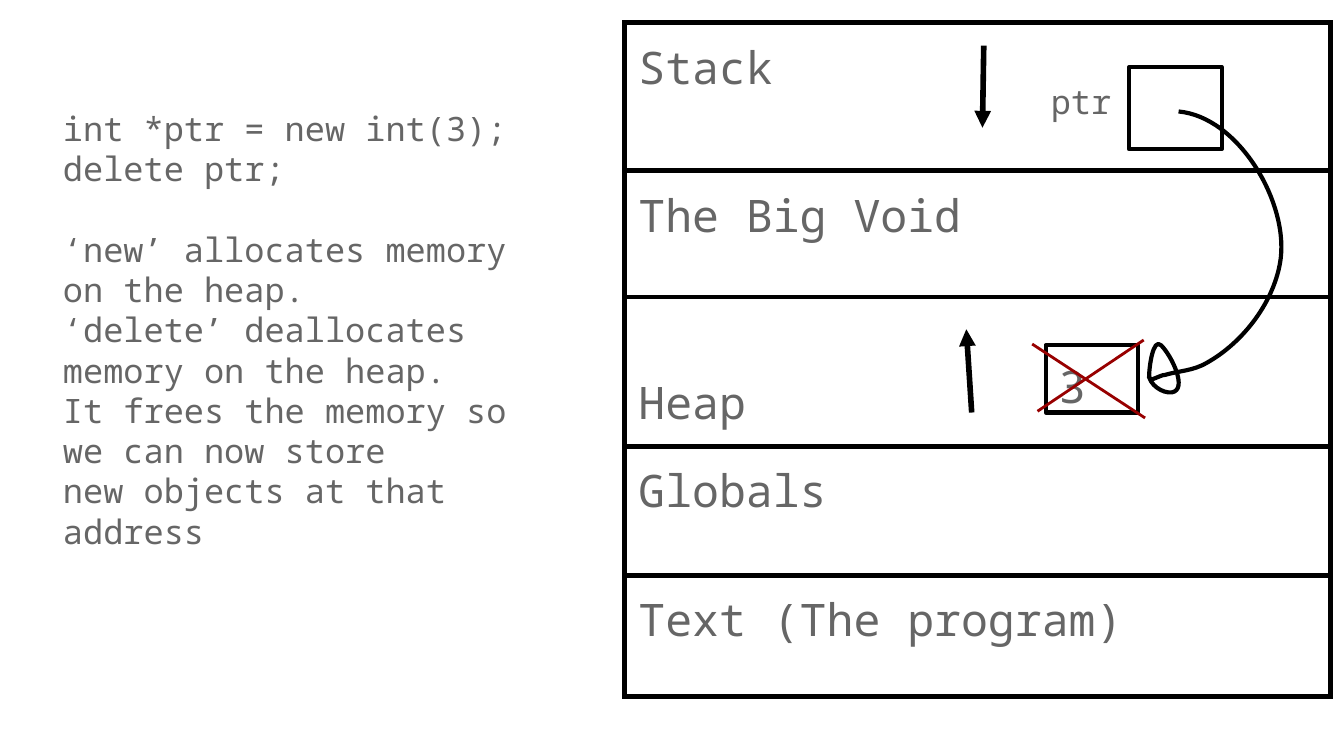
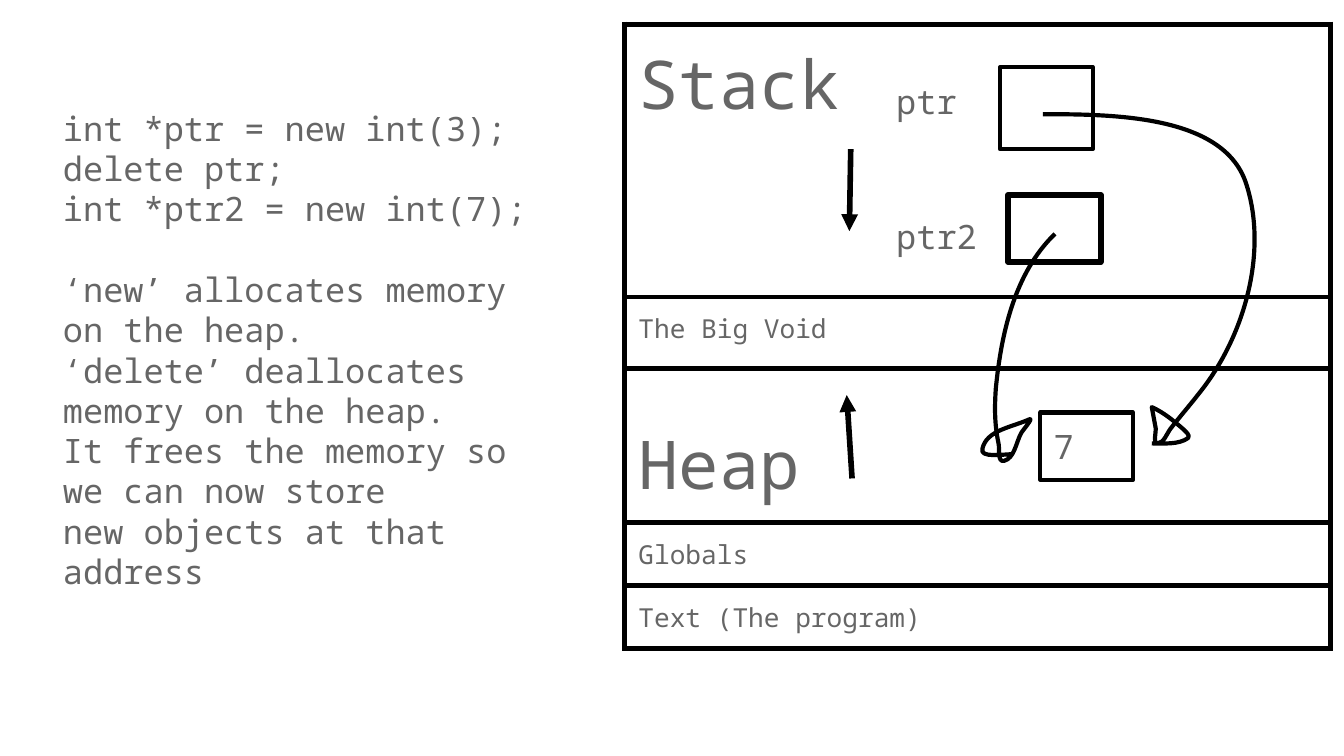
from dataclasses import dataclass

from lxml import etree
from pptx import Presentation
from pptx import util as u
from pptx.dml.color import RGBColor
from pptx.enum import shapes, text
from pptx.oxml import ns


@dataclass(frozen=True)
class Theme:
    font: str = "Noto Sans Mono"
    ink: str = "000000"
    grey: str = "666666"
    red: str = "980000"
    small: int = 14
    body: int = 18
    label: int = 24
    large: int = 36
    code_gap: float = 21.6
    thin: float = 1.5
    medium: float = 2.25
    thick: float = 3


def inches(*lengths):
    return [u.Inches(length) for length in lengths]


def add_xml(parent, tag, **attributes):
    return etree.SubElement(parent, ns.qn(tag), attributes)


class MemorySlides:
    """Holds the style and the current slide."""

    def __init__(self, theme):
        self.theme = theme
        self.presentation = Presentation()
        self.presentation.slide_width, self.presentation.slide_height = inches(10, 5.625)
        self.slide = None

    def new_slide(self):
        self.slide = self.presentation.slides.add_slide(self.presentation.slide_layouts[6])

    def style_paragraph(self, paragraph, size):
        paragraph.alignment = text.PP_ALIGN.LEFT
        paragraph.font.name = self.theme.font
        paragraph.font.size = u.Pt(size)
        paragraph.font.color.rgb = RGBColor.from_string(self.theme.grey)

    def style_line(self, line, width, color=None):
        line.width = u.Pt(width)
        line.color.rgb = RGBColor.from_string(color or self.theme.ink)

    def fill_frame(self, frame, lines, size):
        frame.word_wrap = True
        frame.vertical_anchor = text.MSO_ANCHOR.TOP
        frame.margin_left = frame.margin_right = u.Inches(0.1)
        frame.margin_top = frame.margin_bottom = u.Inches(0.1)
        frame.text = "\n".join(lines)
        for paragraph in frame.paragraphs:
            self.style_paragraph(paragraph, size)

    def text_box(self, place, lines, size):
        box = self.slide.shapes.add_textbox(*inches(*place))
        self.fill_frame(box.text_frame, lines, size)
        return box

    def code(self, statements):
        box = self.text_box((0.37, 0.7, 3.72, 3.41), statements + NOTES, self.theme.body)
        first_note = box.text_frame.paragraphs[len(statements)]
        first_note.space_before = u.Pt(self.theme.code_gap)

    def memory_table(self, top, heights, sizes):
        frame = self.slide.shapes.add_table(
            len(REGIONS), 1, *inches(4.65, top, 5.25, sum(heights)))
        table = frame.table
        table.first_row = table.horz_banding = False
        for index, region in enumerate(REGIONS):
            table.rows[index].height = u.Inches(heights[index])
            cell = table.cell(index, 0)
            self.fill_frame(cell.text_frame, [region], sizes[index])
            cell.margin_left = cell.margin_right = u.Inches(0.1)
            cell.margin_top = cell.margin_bottom = u.Inches(0.1)
            # The heap grows upward, so its name sits at the bottom
            cell.vertical_anchor = (text.MSO_ANCHOR.BOTTOM if region == "Heap"
                                    else text.MSO_ANCHOR.TOP)
            self.cell_borders(cell)
            cell.fill.background()

    def cell_borders(self, cell):
        properties = cell._tc.get_or_add_tcPr()
        for side in ("a:lnL", "a:lnR", "a:lnT", "a:lnB"):
            border = add_xml(properties, side, w=str(u.Pt(self.theme.thick)))
            add_xml(add_xml(border, "a:solidFill"), "a:srgbClr", val=self.theme.ink)

    def variable_box(self, left, top, height=0.5, value="", size=18, width=None):
        box = self.slide.shapes.add_shape(
            shapes.MSO_SHAPE.RECTANGLE, *inches(left, top, 0.69, height))
        box.shadow.inherit = False
        box.fill.background()
        self.style_line(box.line, width or self.theme.medium)
        if value:
            self.fill_frame(box.text_frame, [value], size)

    def line(self, start, end, width, color=None, arrow=False):
        connector = self.slide.shapes.add_connector(
            shapes.MSO_CONNECTOR.STRAIGHT, *inches(*start, *end))
        self.style_line(connector.line, width, color)
        properties = connector.element.spPr
        if arrow:
            add_xml(properties.find(ns.qn("a:ln")), "a:tailEnd", type="triangle")
        add_xml(properties, "a:effectLst")

    def growth_arrow(self, start, end):
        self.line(start, end, self.theme.thick, arrow=True)

    def curve(self, start, *beziers):
        """Draw cubic curves; each is (x1, y1, x2, y2, x, y)."""
        points = [inches(*curve[i:i + 2]) for curve in beziers for i in (0, 2, 4)]
        builder = self.slide.shapes.build_freeform(*inches(*start))
        builder.add_line_segments(points, close=False)
        shape = builder.convert_to_shape()
        shape.shadow.inherit = False
        shape.fill.background()
        self.style_line(shape.line, self.theme.medium)
        # Join every three straight segments into one cubic curve
        segments = list(shape.element.iter(ns.qn("a:lnTo")))
        outline = segments[0].getparent()
        for index in range(0, len(segments), 3):
            cubic = add_xml(outline, "a:cubicBezTo")
            for segment in segments[index:index + 3]:
                cubic.append(segment[0])
                outline.remove(segment)


REGIONS = ["Stack", "The Big Void", "Heap", "Globals", "Text (The program)"]
STATEMENTS = ["int *ptr = new int(3);", "delete ptr;"]
NOTES = [
    "‘new’ allocates memory on the heap.",
    "‘delete’ deallocates memory on the heap.",
    "It frees the memory so we can now store",
    "new objects at that address",
]


def delete_slide(deck):
    theme = deck.theme
    deck.new_slide()
    deck.memory_table(0.17, [1.1, 0.94, 1.11, 0.96, 0.9], [theme.label] * 5)
    deck.growth_arrow((7.32, 0.34), (7.31, 0.95))
    deck.growth_arrow((7.23, 3.07), (7.19, 2.45))
    deck.code(STATEMENTS)

    # Pointer and the value it refers to
    deck.variable_box(7.78, 2.57, value="3", size=theme.label)
    deck.variable_box(8.4, 0.5, height=0.61)
    deck.text_box((7.72, 0.5, 0.69, 0.4), ["ptr"], theme.body)
    deck.curve(
        (8.77, 0.83),
        (9.21, 0.87, 9.58, 1.49, 9.53, 1.92),
        (9.49, 2.24, 9.25, 2.55, 8.98, 2.7),
        (8.88, 2.76, 8.77, 2.76, 8.67, 2.79),
        (8.63, 2.79, 8.55, 2.85, 8.55, 2.81),
        (8.55, 2.73, 8.58, 2.51, 8.64, 2.57),
        (8.72, 2.65, 8.84, 2.9, 8.72, 2.92),
        (8.65, 2.93, 8.55, 2.86, 8.55, 2.79))

    # The value is crossed out
    deck.line((7.72, 3.06), (8.51, 2.53), theme.thin, theme.red)
    deck.line((7.68, 2.56), (8.52, 3.11), theme.thin, theme.red)


def reuse_slide(deck):
    theme = deck.theme
    deck.new_slide()
    deck.memory_table(
        0.18, [2.03, 0.53, 1.15, 0.47, 0.46],
        [theme.large, theme.small, theme.large, theme.small, theme.small])
    deck.growth_arrow((6.33, 1.11), (6.32, 1.72))
    deck.growth_arrow((6.34, 3.56), (6.3, 2.94))
    deck.code(STATEMENTS + ["int *ptr2 = new int(7);"])

    # Two pointers and the value they share
    deck.variable_box(7.74, 3.07, value="7", size=theme.body)
    deck.variable_box(7.44, 0.5, height=0.61)
    deck.text_box((6.57, 0.5, 0.81, 0.4), ["ptr"], theme.body)
    deck.variable_box(7.5, 1.45, width=theme.thick)
    deck.text_box((6.57, 1.51, 0.81, 0.5), ["ptr2"], theme.body)

    # From ptr2
    deck.curve(
        (7.85, 1.74),
        (7.55, 2.03, 7.45, 2.48, 7.41, 2.89),
        (7.4, 3.03, 7.4, 3.16, 7.43, 3.3),
        (7.44, 3.34, 7.42, 3.44, 7.47, 3.43),
        (7.55, 3.41, 7.56, 3.29, 7.6, 3.22),
        (7.62, 3.19, 7.69, 3.11, 7.66, 3.12),
        (7.53, 3.18, 7.34, 3.2, 7.31, 3.34),
        (7.29, 3.41, 7.46, 3.38, 7.54, 3.38))
    # From ptr
    deck.curve(
        (7.76, 0.85),
        (8.3, 0.85, 9.1, 0.86, 9.27, 1.36),
        (9.44, 1.87, 9.26, 2.51, 8.92, 2.93),
        (8.85, 3.02, 8.78, 3.1, 8.71, 3.19),
        (8.68, 3.23, 8.66, 3.3, 8.61, 3.3),
        (8.58, 3.3, 8.6, 3.23, 8.6, 3.19),
        (8.6, 3.19, 8.57, 3.03, 8.57, 3.03),
        (8.66, 3.07, 8.73, 3.13, 8.8, 3.19),
        (8.82, 3.21, 8.86, 3.24, 8.84, 3.26),
        (8.77, 3.31, 8.66, 3.3, 8.57, 3.3))


def main():
    deck = MemorySlides(Theme())
    delete_slide(deck)
    reuse_slide(deck)
    deck.presentation.save("out.pptx")


if __name__ == "__main__":
    main()
